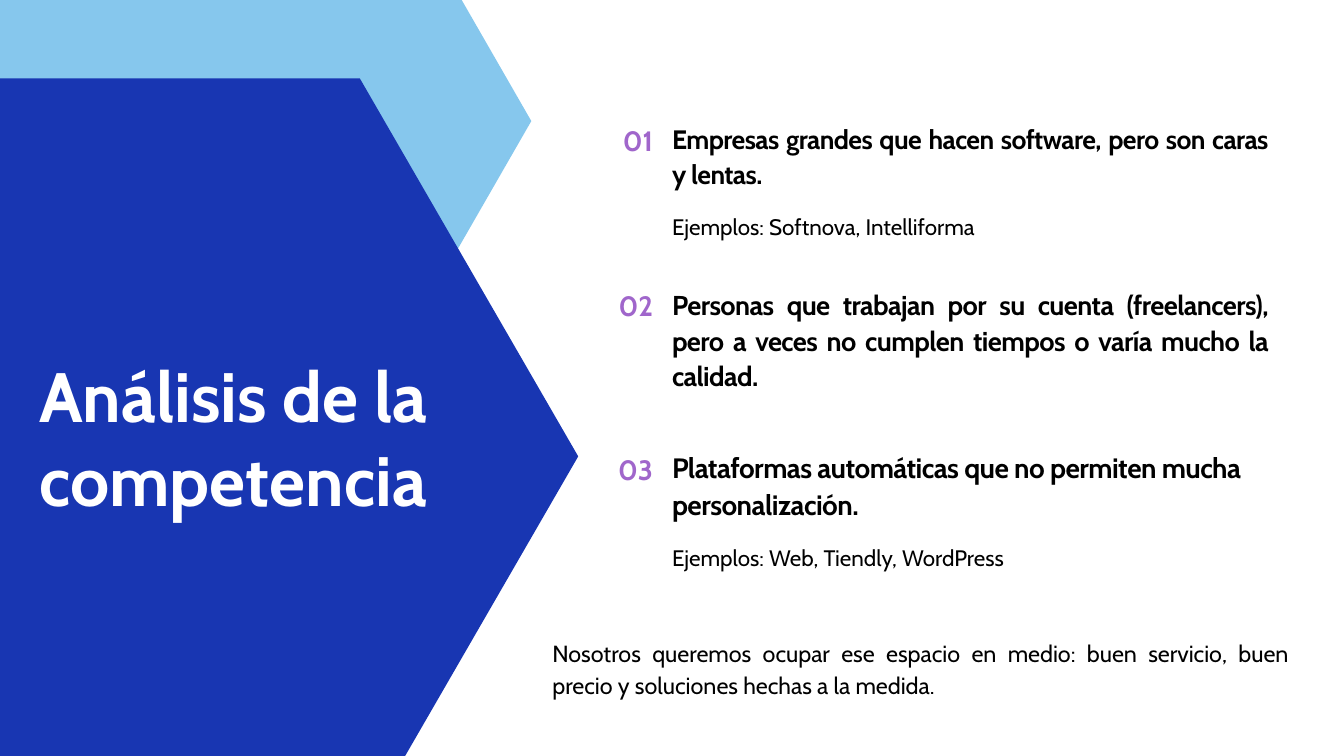
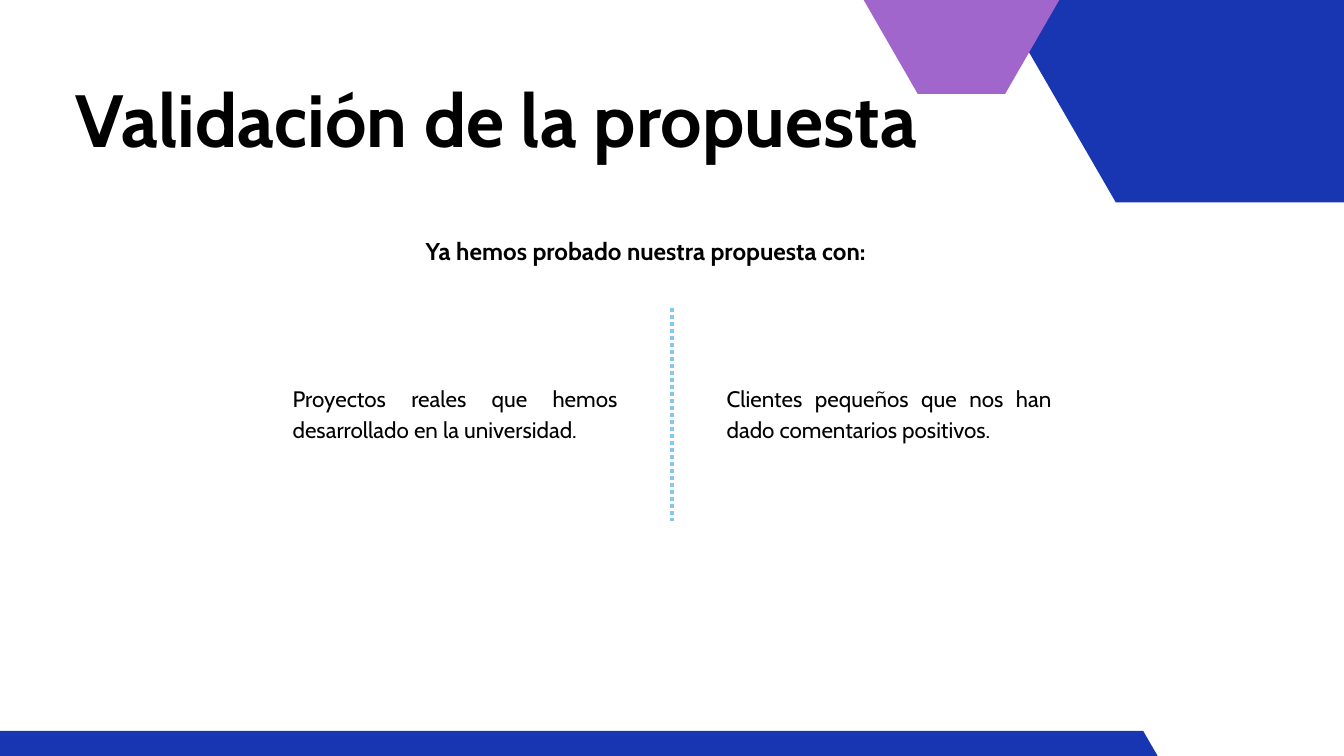
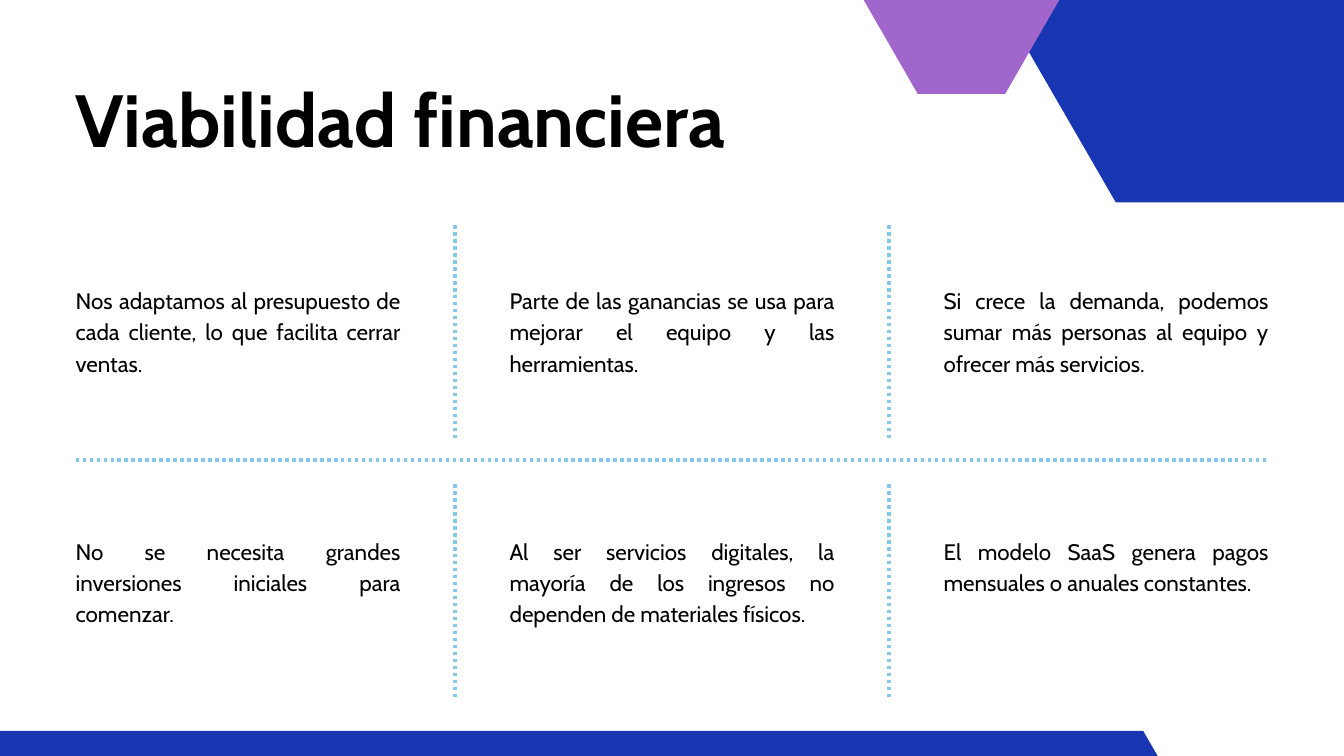
"""Build three slides on competition, validation and financial viability."""
from lxml import etree
from pptx import Presentation
from pptx import util as u
from pptx.dml.color import RGBColor
from pptx.enum import dml, shapes, text
from pptx.oxml.ns import qn

PX = 9525
FONT = "Cabin"
BLUE = RGBColor(0x18, 0x36, 0xB2)
SKY = RGBColor(0x86, 0xC7, 0xED)
PURPLE = RGBColor(0xA0, 0x66, 0xCB)
BLACK = RGBColor(0, 0, 0)
WHITE = RGBColor(255, 255, 255)
LEFT, RIGHT, JUSTIFY = text.PP_ALIGN.LEFT, text.PP_ALIGN.RIGHT, text.PP_ALIGN.JUSTIFY

MARGIN = 108
COLUMN_STEP = 620
COLUMN_WIDTH = 464
DIVIDER_OFFSET = 78
DIVIDER_HEIGHT = 308


def write(slide, words, left, top, width, height, size=24, leading=33.6,
          color=BLACK, bold=False, align=LEFT, tracking=0, title=False):
    box = [value * PX for value in (left, top, width, height)]
    if title:
        shape = slide.shapes.title
        shape.left, shape.top, shape.width, shape.height = box
        shape.element.getparent().append(shape.element)
    else:
        shape = slide.shapes.add_textbox(*box)
    frame = shape.text_frame
    frame.margin_left = frame.margin_top = frame.margin_right = frame.margin_bottom = 0
    frame.word_wrap = True
    frame.vertical_anchor = text.MSO_ANCHOR.TOP
    frame.auto_size = text.MSO_AUTO_SIZE.SHAPE_TO_FIT_TEXT
    paragraph = frame.paragraphs[0]
    paragraph.alignment = align
    paragraph.line_spacing = u.Pt(leading)
    run = paragraph.add_run()
    run.text = words
    run.font.name = FONT
    run.font.size = u.Pt(size)
    run.font.bold = bold
    run.font.color.rgb = color
    if tracking:
        shape.element.xpath(".//a:rPr")[0].set("spc", str(tracking))


def add_hexagon(slide, left, top, width, height, inset, color):
    right, bottom, middle = left + width, top + height, top + height / 2
    builder = slide.shapes.build_freeform(left + inset, top, scale=PX)
    builder.add_line_segments([
        (right - inset, top), (right, middle), (right - inset, bottom),
        (left + inset, bottom), (left, middle),
    ])
    shape = builder.convert_to_shape()
    shape.shadow.inherit = False
    shape.fill.solid()
    shape.fill.fore_color.rgb = color
    shape.line.fill.background()


presentation = Presentation()
presentation.slide_width = 1920 * PX
presentation.slide_height = 1080 * PX
title_only = presentation.slide_layouts[5]
competition, validation, viability = [
    presentation.slides.add_slide(title_only) for _ in range(3)]

add_hexagon(competition, -272, -154, 1031, 654, 188, SKY)
add_hexagon(competition, -337, 112, 1163, 1080, 312, BLUE)
write(competition, "Análisis de la competencia", 56, 504, 605, 239, size=74.8,
      leading=89.7, color=WHITE, bold=True, title=True)

competitors = [
    ("Empresas grandes que hacen software, pero son caras y lentas.",
     172, 28.5, 37, JUSTIFY),
    ("Personas que trabajan por su cuenta (freelancers), pero a veces no cumplen "
     "tiempos o varía mucho la calidad.", 408, 29.2, 38, JUSTIFY),
    ("Plataformas automáticas que no permiten mucha personalización.",
     640, 30, 39, LEFT),
]
for index, (words, top, size, leading, align) in enumerate(competitors):
    write(competition, f"{index + 1:02}", 867, 176 + round(index * 235.5), 66, 49,
          size=30, leading=36, color=PURPLE, bold=True, align=RIGHT)
    write(competition, words, 960, top, 852, 100, size=size, leading=leading,
          bold=True, align=align, tracking=-60)
for words, top in [("Ejemplos: Softnova, Intelliforma", 298),
                   ("Ejemplos: Web, Tiendly, WordPress", 771)]:
    write(competition, words, 960, top, 852, 41)
write(competition, "Nosotros queremos ocupar ese espacio en medio: buen servicio, "
      "buen precio y soluciones hechas a la medida.", 789, 906, 1052, 91,
      size=25, leading=35, align=JUSTIFY)

for slide, title, width in [(validation, "Validación de la propuesta", 1472),
                            (viability, "Viabilidad financiera", 1032)]:
    add_hexagon(slide, 1427, -289, 777, 578, 167, BLUE)
    add_hexagon(slide, 1220, -182, 307, 316, 91, PURPLE)
    add_hexagon(slide, -173, 1044, 1865, 204, 59, BLUE)
    write(slide, title, MARGIN, 116, width, 119, size=79.2, leading=87.2,
          bold=True, title=True)

write(validation, "Ya hemos probado nuestra propuesta con:", 608, 330, 706, 47,
      size=26, leading=36.4, bold=True)

text_rows = [
    (validation, 418, 544, 437, [
        "Proyectos reales que hemos desarrollado en la universidad.",
        "Clientes pequeños que nos han dado comentarios positivos."]),
    (viability, MARGIN, 404, 318, [
        "Nos adaptamos al presupuesto de cada cliente, lo que facilita cerrar ventas.",
        "Parte de las ganancias se usa para mejorar el equipo y las herramientas.",
        "Si crece la demanda, podemos sumar más personas al equipo y ofrecer más "
        "servicios."]),
    (viability, MARGIN, 762, 688, [
        "No se necesita grandes inversiones iniciales para comenzar.",
        "Al ser servicios digitales, la mayoría de los ingresos no dependen de "
        "materiales físicos.",
        "El modelo SaaS genera pagos mensuales o anuales constantes."]),
]
dividers = [(viability, MARGIN, 657, 1812, 657)]
for slide, left, top, divider_top, columns in text_rows:
    for index, words in enumerate(columns):
        column_left = left + index * COLUMN_STEP
        write(slide, words, column_left, top, COLUMN_WIDTH, 130, align=JUSTIFY)
        if index:
            divider = column_left - DIVIDER_OFFSET
            dividers.append((slide, divider, divider_top + DIVIDER_HEIGHT,
                             divider, divider_top))

for slide, *ends in dividers:
    connector = slide.shapes.add_connector(
        shapes.MSO_CONNECTOR.STRAIGHT, *[value * PX for value in ends])
    connector.line.color.rgb = SKY
    connector.line.width = u.Pt(3.75)
    connector.line.dash_style = dml.MSO_LINE.ROUND_DOT
    etree.SubElement(connector.element.spPr, qn("a:effectLst"))

presentation.save("out.pptx")
